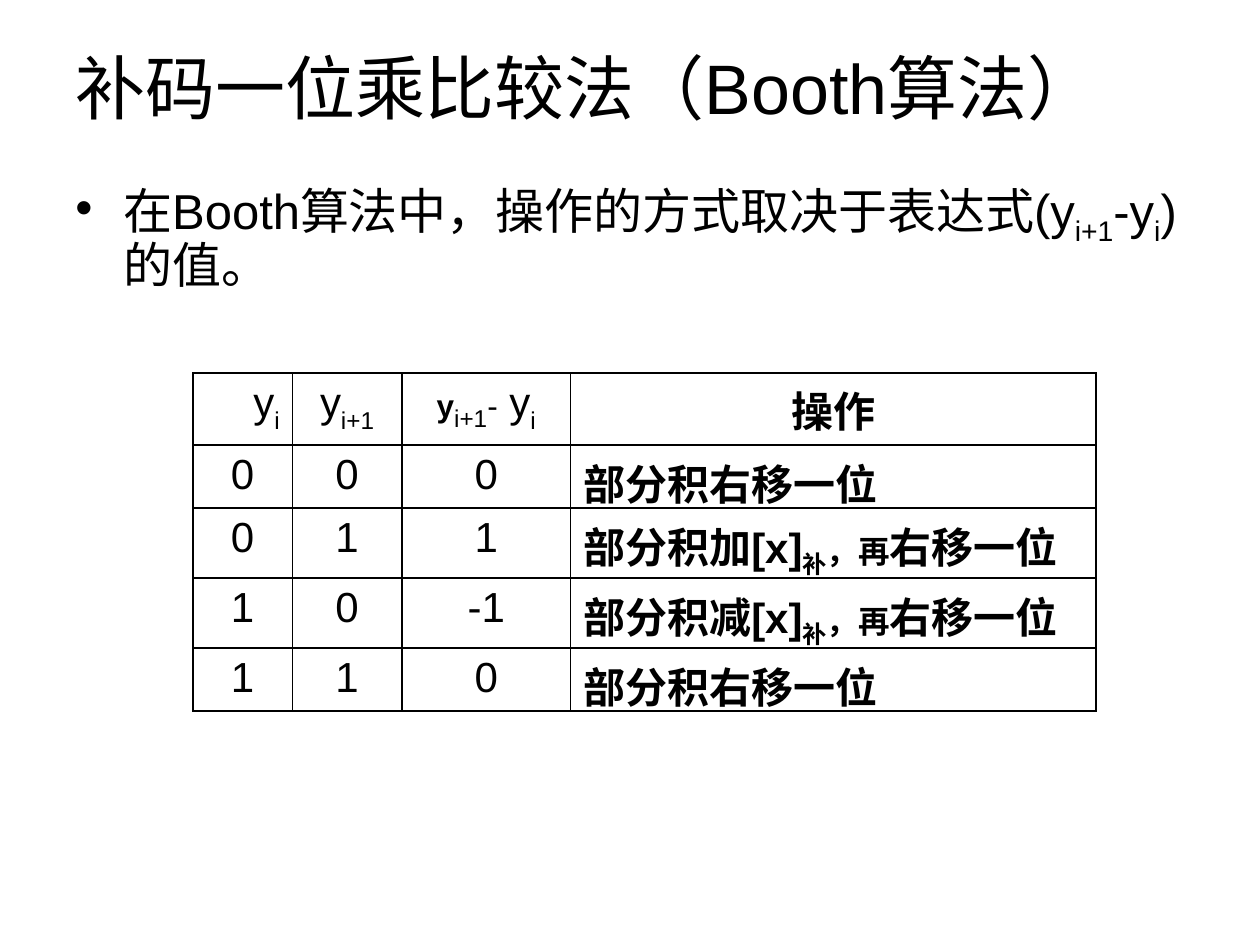
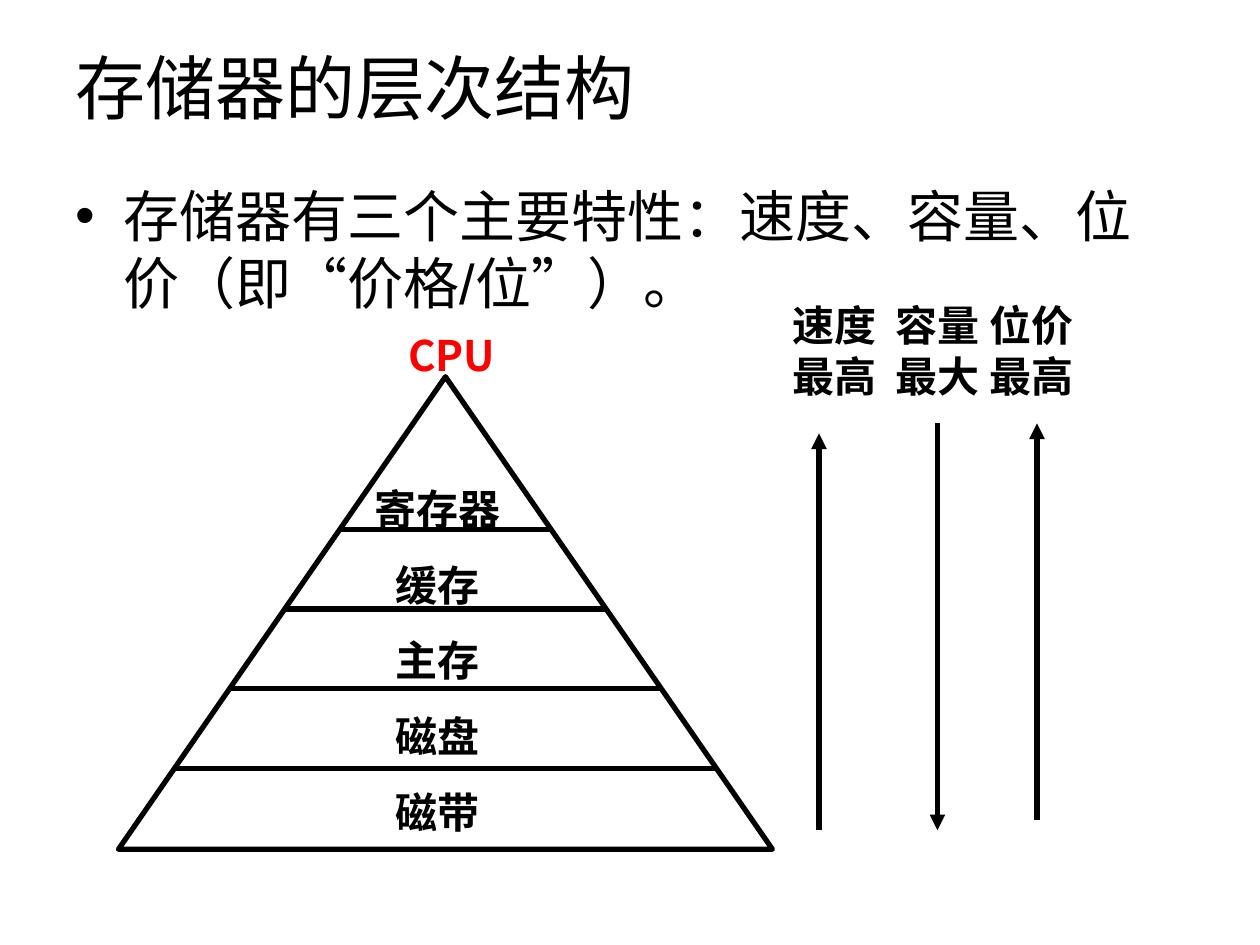
from dataclasses import dataclass

from lxml import etree
from pptx import Presentation
from pptx.dml.color import RGBColor
from pptx.enum.shapes import MSO_CONNECTOR, MSO_SHAPE
from pptx.enum.text import MSO_ANCHOR, PP_ALIGN
from pptx.oxml.ns import qn
from pptx.util import Inches, Pt

BLACK = RGBColor(0x00, 0x00, 0x00)
RED = RGBColor(0xFF, 0x00, 0x00)
LATIN_FONT = "Arial"
CHINESE_FONT = "Noto Sans CJK SC"
LEFT, CENTER, RIGHT = PP_ALIGN.LEFT, PP_ALIGN.CENTER, PP_ALIGN.RIGHT
MIDDLE = MSO_ANCHOR.MIDDLE
STRAIGHT = MSO_CONNECTOR.STRAIGHT
TRIANGLE = MSO_SHAPE.ISOSCELES_TRIANGLE
LINE_WIDTH = Pt(3)
BORDER_WIDTH = Pt(1)
BULLET_INDENT = Inches(0.38)


@dataclass(frozen=True)
class Run:
    text: str
    size: float = 24
    bold: bool = False
    font: str = LATIN_FONT
    baseline: int = 0
    color: RGBColor = BLACK


@dataclass(frozen=True)
class Box:
    left: float
    top: float
    width: float
    height: float

    def lengths(self) -> tuple:
        return tuple(Inches(v) for v in (self.left, self.top, self.width, self.height))


@dataclass(frozen=True)
class Arrow:
    x: float
    start: float
    end: float


TITLE_BOX = Box(0.5, 0.3, 9, 0.77)
TABLE_BOX = Box(1.53, 2.96, 7.17, 2.5)
COLUMN_WIDTHS = (0.79, 0.87, 1.34, 4.17)
PYRAMID_BOX = Box(0.94, 2.99, 5.19, 3.75)
LEVELS = ("寄存器", "缓存", "主存", "磁盘", "磁带")
FIRST_DIVIDER, LAST_DIVIDER = 4.2, 6.1
PROPERTY_ROWS = ("速度\t容量\t位价", "最高\t最大\t最高")
PROPERTY_TABS = (0.82, 1.56)
ARROWS = (Arrow(6.5, 6.59, 3.44), Arrow(7.44, 3.36, 6.59), Arrow(8.23, 6.51, 3.36))


def add_runs(paragraph, runs: list[Run], alignment=LEFT) -> None:
    paragraph.alignment = alignment
    for item in runs:
        run = paragraph.add_run()
        run.text = item.text
        run.font.size = Pt(item.size)
        run.font.bold = item.bold
        run.font.name = item.font
        run.font.color.rgb = item.color
        properties = run._r.get_or_add_rPr()
        etree.SubElement(properties, qn("a:ea"), typeface=CHINESE_FONT)
        if item.baseline:
            properties.set("baseline", str(item.baseline * 1000))


def add_text(shapes, box: Box, paragraphs: list[list[Run]], alignment=LEFT, wrap=True):
    """Add a text box with one paragraph per list of runs and return its frame."""
    frame = shapes.add_textbox(*box.lengths()).text_frame
    frame.word_wrap = wrap
    for index, runs in enumerate(paragraphs):
        paragraph = frame.add_paragraph() if index else frame.paragraphs[0]
        add_runs(paragraph, runs, alignment)
    return frame


def add_title(slide, text: str) -> None:
    frame = add_text(slide.shapes, TITLE_BOX, [[Run(text, 40)]])
    frame.vertical_anchor = MIDDLE


def add_bullet(slide, box: Box, runs: list[Run], line_spacing: float = 1.0) -> None:
    paragraph = add_text(slide.shapes, box, [runs]).paragraphs[0]
    paragraph.line_spacing = line_spacing
    paragraph.space_before = Pt(runs[0].size * 0.2)
    properties = paragraph._p.get_or_add_pPr()
    properties.set("marL", str(BULLET_INDENT))
    properties.set("indent", str(-BULLET_INDENT))
    etree.SubElement(properties, qn("a:buFont"), typeface=LATIN_FONT)
    etree.SubElement(properties, qn("a:buChar"), char="•")


def add_line(shapes, start: tuple, end: tuple, arrowhead: bool = False) -> None:
    points = [Inches(v) for v in (*start, *end)]
    connector = shapes.add_connector(STRAIGHT, *points)
    connector.line.color.rgb = BLACK
    connector.line.width = LINE_WIDTH
    if arrowhead:
        etree.SubElement(connector.line._get_or_add_ln(), qn("a:tailEnd"), type="triangle")
    etree.SubElement(connector._element.spPr, qn("a:effectLst"))


def set_borders(cell) -> None:
    properties = cell._tc.get_or_add_tcPr()
    for index, side in enumerate(("lnL", "lnR", "lnT", "lnB")):
        border = etree.Element(qn(f"a:{side}"), w=str(BORDER_WIDTH))
        fill = etree.SubElement(border, qn("a:solidFill"))
        etree.SubElement(fill, qn("a:srgbClr"), val=str(BLACK))
        properties.insert(index, border)


def add_operation_table(slide, rows: list[list[list[Run]]]) -> None:
    table = slide.shapes.add_table(len(rows), len(COLUMN_WIDTHS), *TABLE_BOX.lengths()).table
    table.first_row = False
    table.horz_banding = False
    for column, width in zip(table.columns, COLUMN_WIDTHS):
        column.width = Inches(width)
    for row_index, row in enumerate(rows):
        for column_index, runs in enumerate(row):
            cell = table.cell(row_index, column_index)
            cell.fill.background()
            set_borders(cell)
            alignment = CENTER
            if row_index == 0 and column_index == 0:
                alignment = RIGHT
            elif row_index and column_index == len(row) - 1:
                alignment = LEFT
            add_runs(cell.text_frame.paragraphs[0], runs, alignment)


def add_then_shift(verb: str) -> list[Run]:
    """Runs for adding or subtracting the complement of x, then shifting."""
    return [
        Run(f"部分积{verb}[x]", bold=True),
        Run("补", bold=True, baseline=-25),
        Run("，再", 18, bold=True),
        Run("右移一位", bold=True, font=CHINESE_FONT),
    ]


def build_booth_slide(slide) -> None:
    add_title(slide, "补码一位乘比较法（Booth算法）")
    add_bullet(slide, Box(0.5, 1.39, 8.99, 1.1), [
        Run("在Booth算法中，操作的方式取决于表达式(y", 28),
        Run("i+1", 28, baseline=-25),
        Run("-y", 28),
        Run("i", 28, baseline=-25),
        Run(")的值。", 28),
    ], line_spacing=0.9)

    header = [
        [Run("y"), Run("i", baseline=-30)],
        [Run("y"), Run("i+1", baseline=-30)],
        [Run("y", 18, bold=True), Run("i+1", baseline=-25), Run("-", 18),
         Run(" y"), Run("i", baseline=-30)],
        [Run("操作", bold=True, font=CHINESE_FONT)],
    ]
    shift = [Run("部分积右移一位", bold=True, font=CHINESE_FONT)]
    operations = {
        ("0", "0", "0"): shift,
        ("0", "1", "1"): add_then_shift("加"),
        ("1", "0", "-1"): add_then_shift("减"),
        ("1", "1", "0"): shift,
    }
    rows = [[[Run(digit)] for digit in digits] + [operation]
            for digits, operation in operations.items()]
    add_operation_table(slide, [header, *rows])


def add_pyramid(slide) -> None:
    shapes = slide.shapes.add_group_shape().shapes
    triangle = shapes.add_shape(TRIANGLE, *PYRAMID_BOX.lengths())
    triangle.shadow.inherit = False
    triangle.fill.background()
    triangle.line.color.rgb = BLACK
    triangle.line.width = LINE_WIDTH

    names = [[Run(level, bold=True)] for level in LEVELS]
    frame = add_text(shapes, Box(2.87, 3.59, 1.21, 3.06), names, CENTER, wrap=False)
    for paragraph in frame.paragraphs:
        paragraph.line_spacing = 1.5

    apex = PYRAMID_BOX.left + PYRAMID_BOX.width / 2
    slope = PYRAMID_BOX.width / 2 / PYRAMID_BOX.height
    divider_count = len(LEVELS) - 1
    gap = (LAST_DIVIDER - FIRST_DIVIDER) / (divider_count - 1)
    for index in range(divider_count):
        y = FIRST_DIVIDER + index * gap
        half_width = (y - PYRAMID_BOX.top) * slope
        add_line(shapes, (apex - half_width, y), (apex + half_width, y))


def add_property_labels(slide) -> None:
    labels = [[Run(row, bold=True, font=CHINESE_FONT)] for row in PROPERTY_ROWS]
    frame = add_text(slide.shapes, Box(5.94, 2.33, 2.91, 1.11), labels)
    frame.margin_left = Inches(0.35)
    for paragraph in frame.paragraphs:
        tabs = etree.SubElement(paragraph._p.get_or_add_pPr(), qn("a:tabLst"))
        for position in PROPERTY_TABS:
            etree.SubElement(tabs, qn("a:tab"), pos=str(Inches(position)), algn="l")


def build_memory_slide(slide) -> None:
    add_title(slide, "存储器的层次结构")
    add_bullet(slide, Box(0.5, 1.39, 9, 1.18),
               [Run("存储器有三个主要特性：速度、容量、位价（即“价格/位”）。", 32)])
    add_pyramid(slide)
    add_property_labels(slide)
    for arrow in ARROWS:
        add_line(slide.shapes, (arrow.x, arrow.start), (arrow.x, arrow.end), arrowhead=True)
    add_text(slide.shapes, Box(3.11, 2.57, 0.95, 0.5),
             [[Run("CPU", bold=True, font=CHINESE_FONT, color=RED)]], CENTER)


def main() -> None:
    presentation = Presentation()
    presentation.slide_width = Inches(10)
    presentation.slide_height = Inches(7.5)
    blank_layout = presentation.slide_layouts[6]
    for build in (build_booth_slide, build_memory_slide):
        build(presentation.slides.add_slide(blank_layout))
    presentation.save("out.pptx")


if __name__ == "__main__":
    main()
